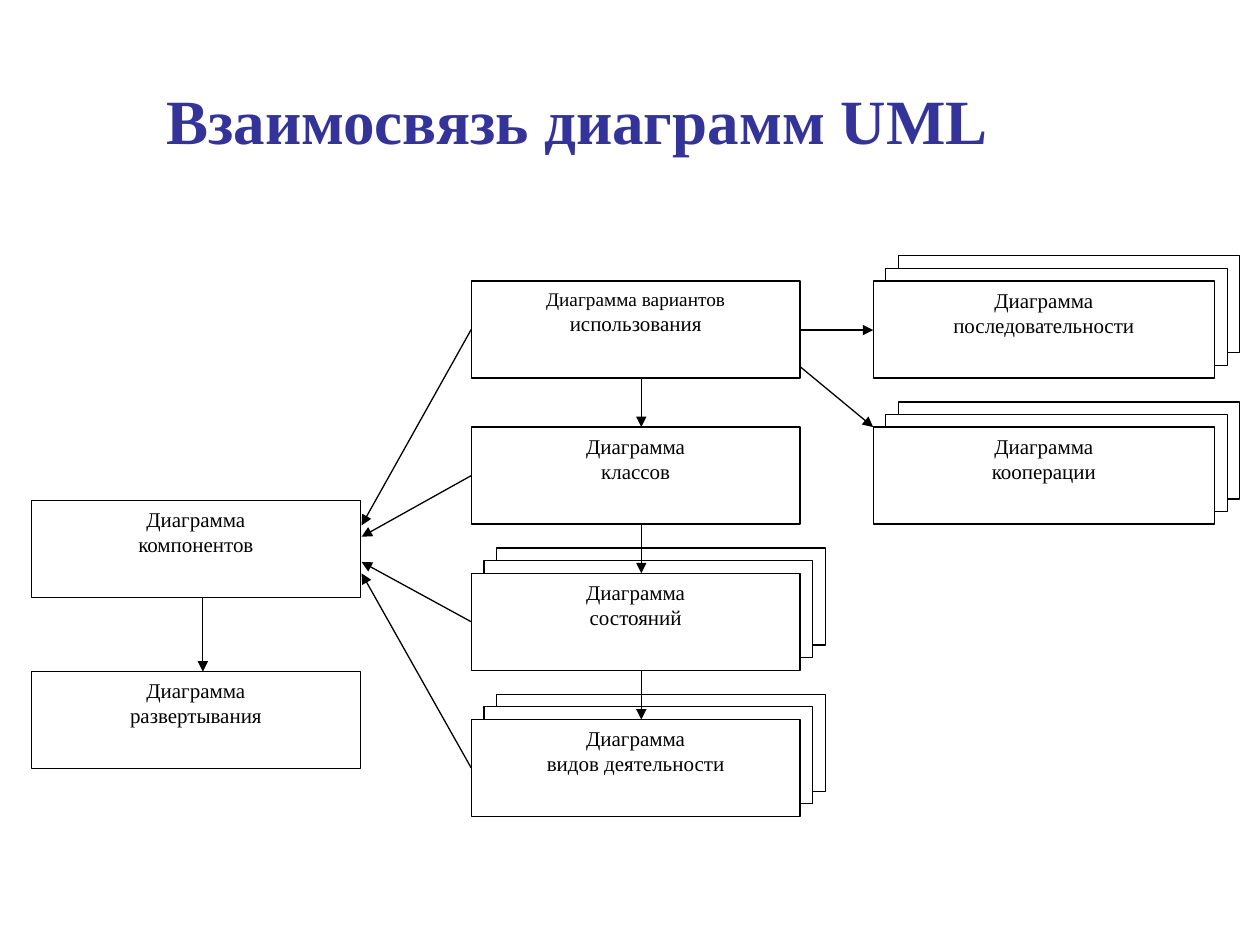
from lxml import etree
from pptx import Presentation
from pptx.dml.color import RGBColor
from pptx.enum import shapes, text
from pptx.oxml.ns import qn
from pptx.util import Inches, Pt

COLORS = {"title": "333399", "ink": "000000", "paper": "FFFFFF"}
FONT = "Times New Roman"
BOX_W, WIDE_W, BOX_H = 2.61, 2.71, 0.77
LEFT_X, MID_X, RIGHT_X = 0.25, 3.74, 6.93
ROWS = [2.23 + 1.16 * i for i in range(4)]
COMPONENTS_Y, DEPLOYMENT_Y = 3.97, 5.33
STACK_STEP = 0.1

BOXES = [
    (MID_X, ROWS[0], BOX_W, "Диаграмма вариантов", "использования", 11, 0),
    (RIGHT_X, ROWS[0], WIDE_W, "Диаграмма", "последовательности", 12, 2),
    (RIGHT_X, ROWS[1], WIDE_W, "Диаграмма", "кооперации", 12, 2),
    (MID_X, ROWS[1], BOX_W, "Диаграмма", "классов", 12, 0),
    (MID_X, ROWS[2], BOX_W, "Диаграмма", "состояний", 12, 2),
    (MID_X, ROWS[3], BOX_W, "Диаграмма", "видов деятельности", 12, 2),
    (LEFT_X, COMPONENTS_Y, BOX_W, "Диаграмма", "компонентов", 12, 0),
    (LEFT_X, DEPLOYMENT_Y, BOX_W, "Диаграмма", "развертывания", 12, 0),
]


def rgb(name):
    return RGBColor.from_string(COLORS[name])


def add_text(p, content, size=12, color="ink", bold=False,
             align=text.PP_ALIGN.CENTER):
    p.alignment = align
    r = p.add_run()
    r.text = content
    r.font.name = FONT
    r.font.size = Pt(size)
    r.font.bold = bold
    r.font.color.rgb = rgb(color)


def add_title(s, content):
    sp = s.shapes.title
    sp.left, sp.top, sp.width, sp.height = map(Inches, (1.22, 0.44, 8.26, 1.02))
    tf = sp.text_frame
    tf.vertical_anchor = text.MSO_ANCHOR.MIDDLE
    add_text(tf.paragraphs[0], content, size=36, color="title", bold=True,
             align=text.PP_ALIGN.LEFT)


def add_rect(s, x, y, w):
    sp = s.shapes.add_shape(shapes.MSO_SHAPE.RECTANGLE,
                            *map(Inches, (x, y, w, BOX_H)))
    sp.shadow.inherit = False
    sp.fill.solid()
    sp.fill.fore_color.rgb = rgb("paper")
    sp.line.color.rgb = rgb("ink")
    sp.line.width = Pt(0.75)
    return sp


def add_box(s, x, y, w, first, second, first_size, plates):
    for i in range(plates, 0, -1):
        add_rect(s, x + i * STACK_STEP, y - i * STACK_STEP, w)
    tf = add_rect(s, x, y, w).text_frame
    tf.word_wrap = True
    tf.vertical_anchor = text.MSO_ANCHOR.TOP
    add_text(tf.paragraphs[0], first, size=first_size)
    add_text(tf.add_paragraph(), second)


def add_arrow(s, x1, y1, x2, y2):
    line = s.shapes.add_connector(shapes.MSO_CONNECTOR.STRAIGHT,
                                  *map(Inches, (x1, y1, x2, y2)))
    line.line.color.rgb = rgb("ink")
    line.line.width = Pt(0.75)
    etree.SubElement(line.line._get_or_add_ln(), qn("a:tailEnd"), type="triangle")
    etree.SubElement(line._element.spPr, qn("a:effectLst"))


def add_arrows(s):
    mid_right = MID_X + BOX_W
    add_arrow(s, mid_right, 2.62, RIGHT_X, 2.62)
    add_arrow(s, mid_right, 2.91, RIGHT_X, ROWS[1])
    for upper, lower in zip(ROWS, ROWS[1:]):
        add_arrow(s, 5.09, upper + BOX_H, 5.09, lower)
    for row, target in zip(ROWS, (4.17, 4.26, 4.46, 4.55)):
        add_arrow(s, MID_X, row + BOX_H / 2, 2.87, target)
    add_arrow(s, 1.61, COMPONENTS_Y + BOX_H, 1.61, DEPLOYMENT_Y)


def main():
    prs = Presentation()
    prs.slide_width, prs.slide_height = Inches(10), Inches(7.5)
    s = prs.slides.add_slide(prs.slide_layouts[5])
    add_title(s, "Взаимосвязь диаграмм UML")
    for box in BOXES:
        add_box(s, *box)
    add_arrows(s)
    prs.save("out.pptx")


main()
